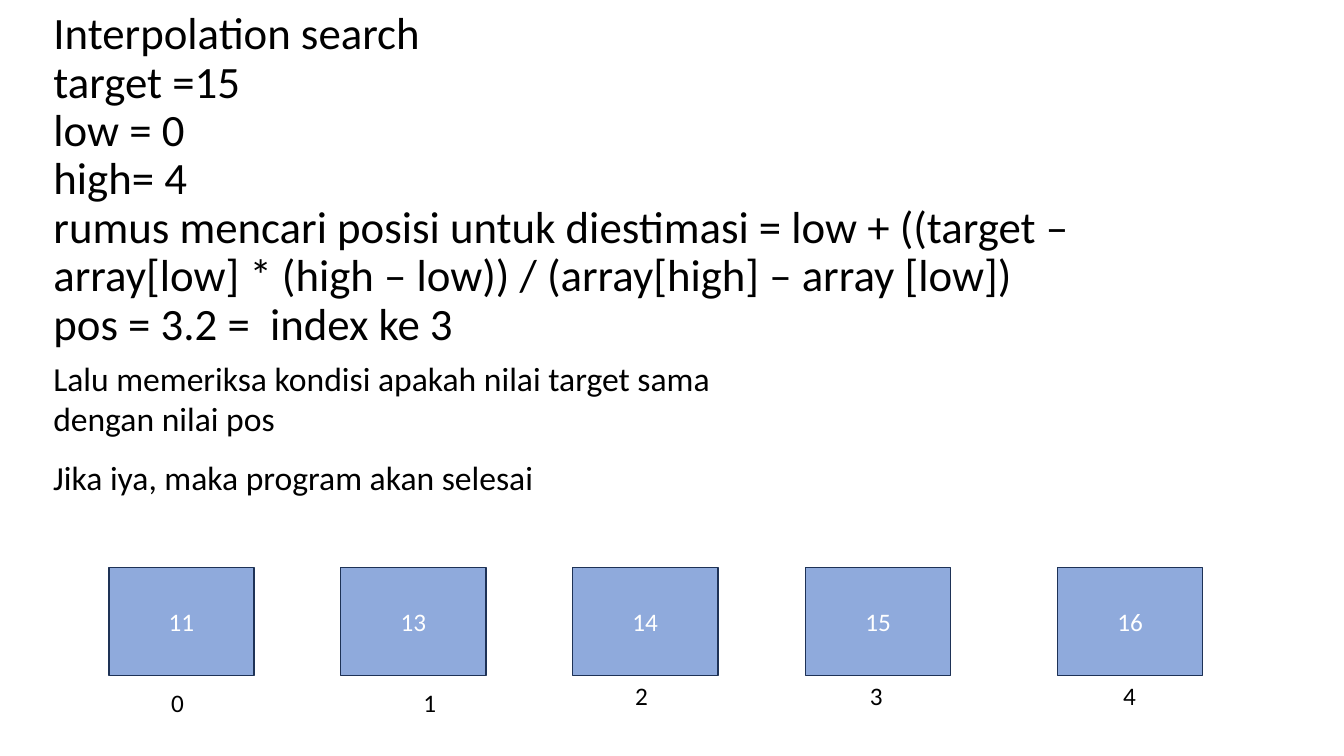
from pptx import Presentation
from pptx.dml.color import RGBColor
from pptx.enum.shapes import MSO_SHAPE as Shape
from pptx.enum.text import MSO_ANCHOR as Anchor, MSO_AUTO_SIZE as AutoSize, PP_ALIGN as Align
from pptx.util import Inches, Pt

BLACK, WHITE, CELL_FILL, CELL_LINE = "000000", "FFFFFF", "8FAADC", "1E3256"

TITLE_LINES = [
    "Interpolation search",
    "target =15",
    "low = 0",
    "high= 4",
    "rumus mencari posisi untuk diestimasi = low + ((target – array[low] * (high – low))"
    " / (array[high] – array [low])",
    "pos = 3.2 =  index ke 3",
]

# Text, box, wrapping
NOTES = [
    ("Lalu memeriksa kondisi apakah nilai target sama dengan nilai pos", (0.43, 3.5, 7.12, 0.91), True),
    ("Jika iya, maka program akan selesai", (0.43, 4.48, 5, 0.5), False),
]

# Value, cell left, index label left and top, both relative to the array
ARRAY_CELLS = [
    ("11", 0, 0.52, 1.14),
    ("13", 2.3, 3.02, 1.14),
    ("14", 4.6, 5.12, 1.07),
    ("15", 6.91, 7.45, 1.07),
    ("16", 9.41, 9.96, 1.07),
]


def color(value):
    return RGBColor.from_string(value)


def place(shape, box):
    for name, length in zip(("left", "top", "width", "height"), box):
        setattr(shape, name, Inches(length))


def write(frame, text, size, text_color=BLACK, align=Align.LEFT, **frame_format):
    """Fill a text frame with one uniformly formatted paragraph."""
    frame.text = text
    for name, value in frame_format.items():
        setattr(frame, name, value)
    paragraph = frame.paragraphs[0]
    paragraph.alignment = align
    for run in paragraph.runs:
        for name, value in {"name": "Calibri", "size": Pt(size)}.items():
            setattr(run.font, name, value)
        run.font.color.rgb = color(text_color)
    return paragraph


def add_text(slide, text, box, size, wrap=True):
    text_box = slide.shapes.add_textbox(*map(Inches, box))
    write(text_box.text_frame, text, size, word_wrap=wrap, auto_size=AutoSize.SHAPE_TO_FIT_TEXT)


def add_title(slide, box):
    title = slide.shapes.title
    place(title, box)
    # The deep bottom margin lifts the centred lines above the notes
    paragraph = write(title.text_frame, "\v".join(TITLE_LINES), 32, word_wrap=True,
                      auto_size=AutoSize.NONE, vertical_anchor=Anchor.MIDDLE,
                      margin_bottom=Inches(0.54))
    paragraph.line_spacing = 0.9


def add_array(slide, box):
    left, top, cell_width, cell_height = box
    for index, (value, cell_left, label_left, label_top) in enumerate(ARRAY_CELLS):
        # Array cell
        cell = slide.shapes.add_shape(
            Shape.RECTANGLE, *map(Inches, (left + cell_left, top, cell_width, cell_height)))
        cell.shadow.inherit = False
        cell.fill.solid()
        cell.fill.fore_color.rgb = color(CELL_FILL)
        cell.line.color.rgb = color(CELL_LINE)
        cell.line.width = Pt(1)
        write(cell.text_frame, value, 18, WHITE, Align.CENTER, vertical_anchor=Anchor.MIDDLE)
        # Index below the cell
        add_text(slide, str(index), (left + label_left, top + label_top, 0.39, 0.4), 18)


def main():
    presentation = Presentation()
    presentation.slide_width, presentation.slide_height = Inches(13.33), Inches(7.5)
    slide = presentation.slides.add_slide(presentation.slide_layouts[5])
    add_title(slide, (0.43, 1.31, 11.5, 1.45))
    add_array(slide, (1.08, 5.63, 1.44, 1.07))
    for text, box, wrap in NOTES:
        add_text(slide, text, box, 24, wrap)
    presentation.save("out.pptx")


if __name__ == "__main__":
    main()
